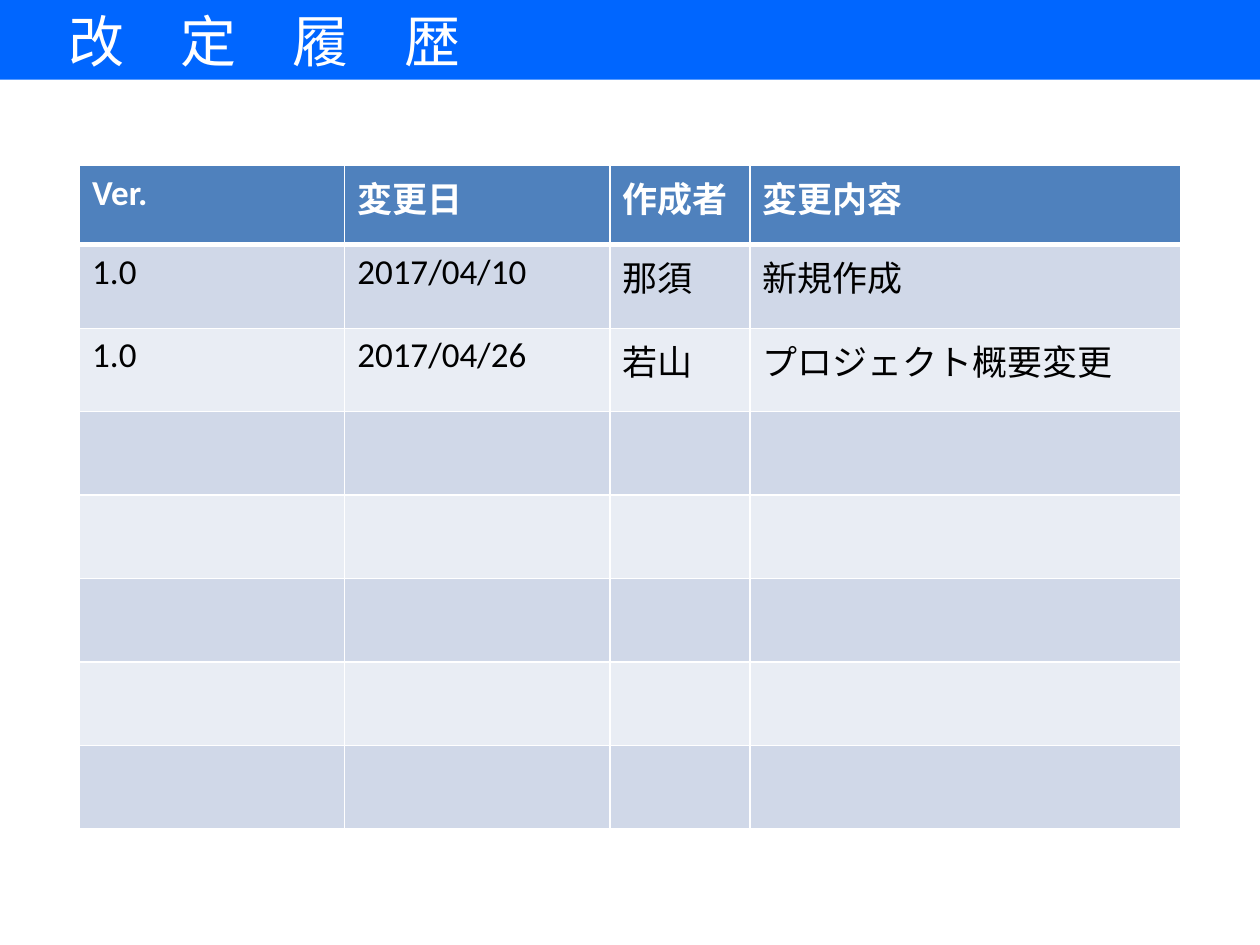
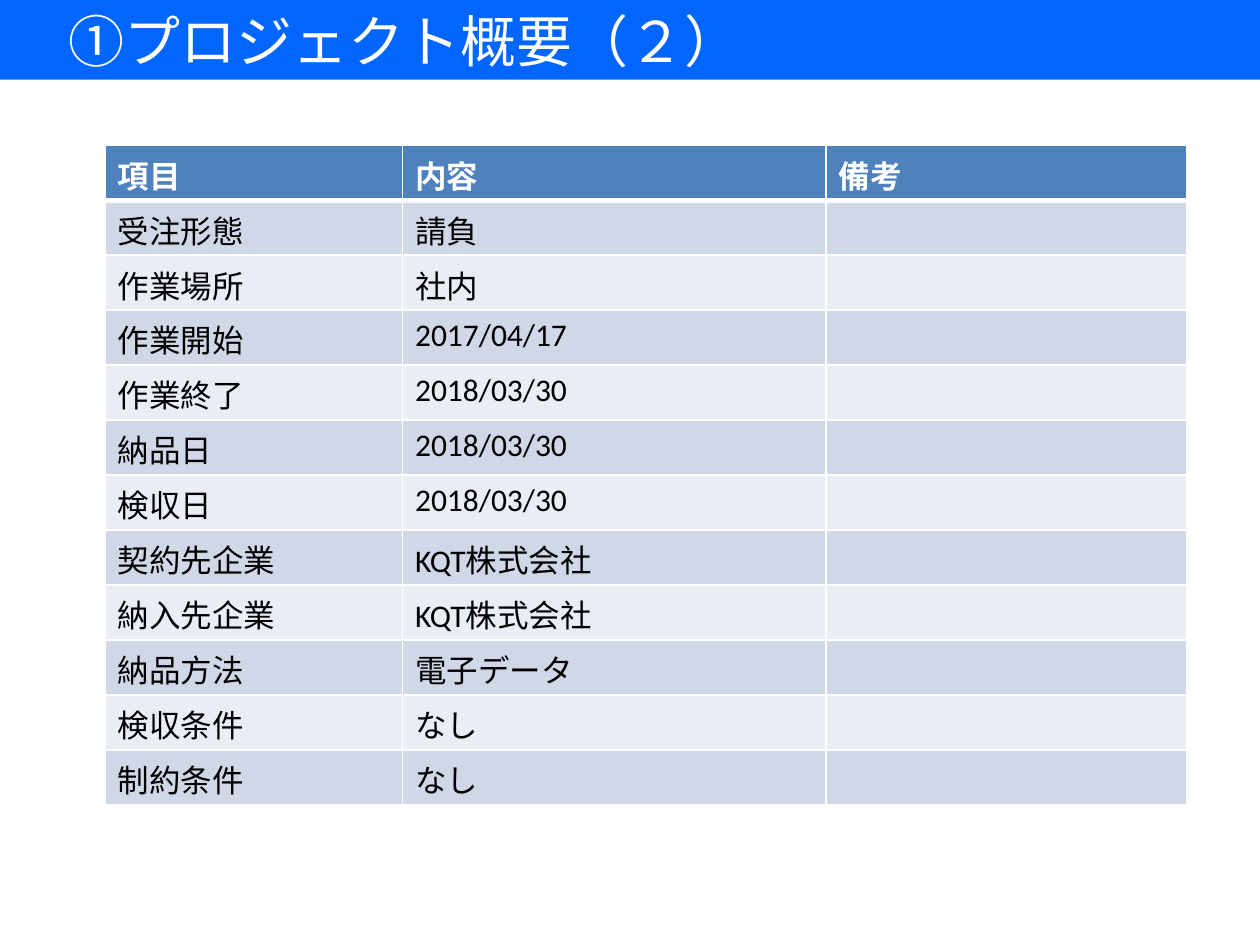
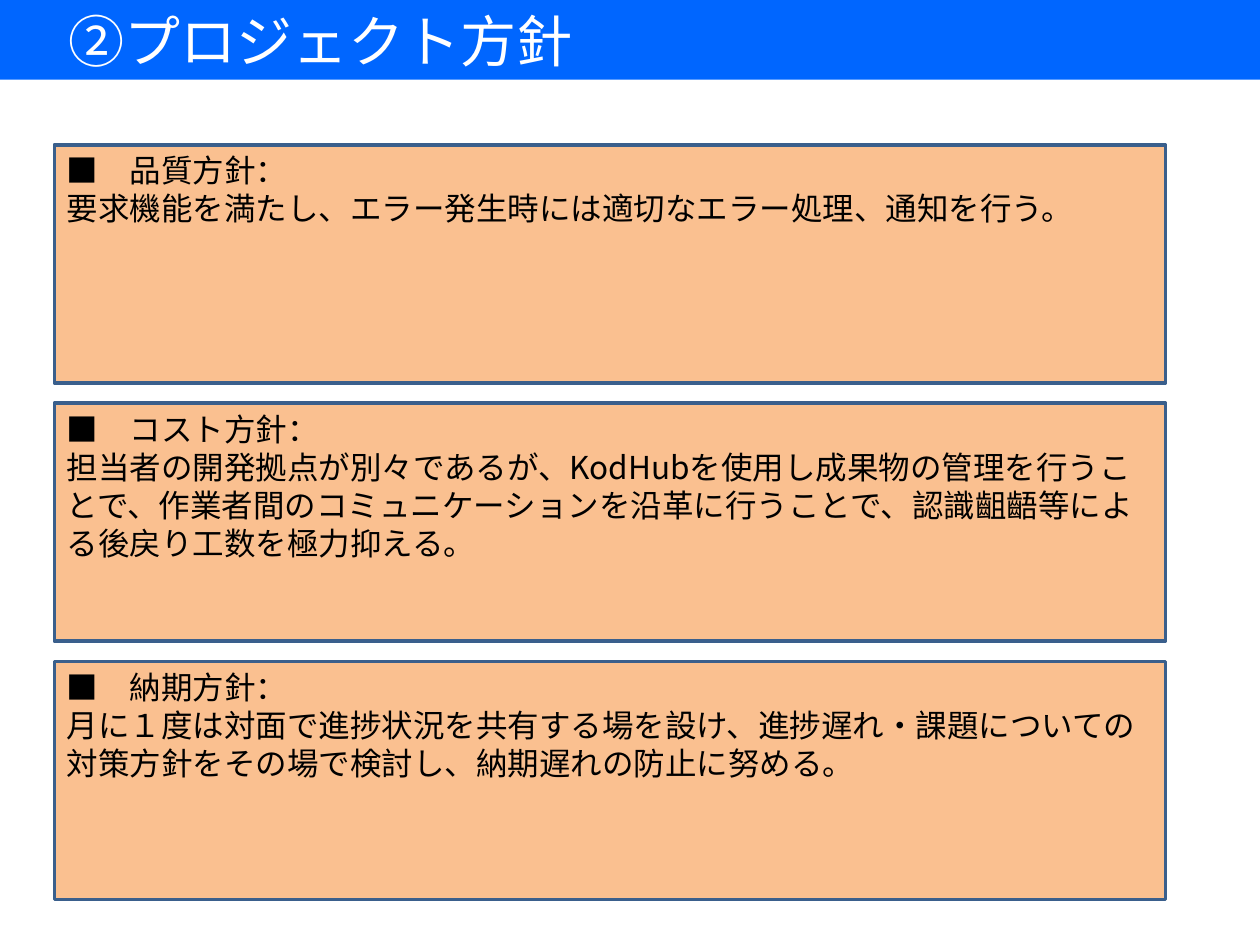
from dataclasses import dataclass

from lxml import etree
from pptx import Presentation
from pptx.dml.color import RGBColor
from pptx.enum.shapes import MSO_SHAPE
from pptx.enum.text import MSO_ANCHOR, PP_ALIGN
from pptx.oxml.ns import qn
from pptx.util import Pt

RECTANGLE = MSO_SHAPE.RECTANGLE
LEFT = PP_ALIGN.LEFT
TOP = MSO_ANCHOR.TOP
MIDDLE = MSO_ANCHOR.MIDDLE


@dataclass(frozen=True)
class Theme:
    band: str = "0066FF"
    header: str = "4F81BD"
    stripes: tuple = ("D0D8E8", "E9EDF4")
    panel: str = "FAC090"
    panel_line: str = "3A5F8C"
    white: str = "FFFFFF"
    black: str = "000000"
    title_size: int = 32
    history_size: int = 20
    body_size: int = 18
    title_font: str = "Cambria"
    table_font: str = "Calibri"
    asian_font: str = "Noto Sans CJK JP"


THEME = Theme()
PAGE_WIDTH, PAGE_HEIGHT = 720, 540
BAND_HEIGHT = 45.5

HISTORY = {
    "title": " 改 定 履 歴".replace(" ", "　"),
    "position": (45.5, 94.5),
    "columns": (151.5, 151.5, 80, 246),
    "header_height": 45.4,
    "row_height": 47.7,
    "size": THEME.history_size,
    "rows": [
        ("Ver.", "変更日", "作成者", "変更内容"),
        ("1.0", "2017/04/10", "那須", "新規作成"),
        ("1.0", "2017/04/26", "若山", "プロジェクト概要変更"),
    ] + [("",) * 4] * 5,
}

OVERVIEW = {
    "title": "　①プロジェクト概要（２）",
    "position": (60, 83),
    "columns": (170, 242, 206),
    "header_height": 31.43,
    "row_height": 31.43,
    "size": THEME.body_size,
    "rows": [
        ("項目", "内容", "備考"),
        ("受注形態", "請負", ""),
        ("作業場所", "社内", ""),
        ("作業開始", "2017/04/17", ""),
        ("作業終了", "2018/03/30", ""),
        ("納品日", "2018/03/30", ""),
        ("検収日", "2018/03/30", ""),
        ("契約先企業", "KQT株式会社", ""),
        ("納入先企業", "KQT株式会社", ""),
        ("納品方法", "電子データ", ""),
        ("検収条件", "なし", ""),
        ("制約条件", "なし", ""),
    ],
}

POLICY_TITLE = "　②プロジェクト方針"
POLICIES = [
    ("品質方針", "要求機能を満たし、エラー発生時には適切なエラー処理、通知を行う。"),
    ("コスト方針", "担当者の開発拠点が別々であるが、KodHubを使用し成果物の管理を行うことで、"
     "作業者間のコミュニケーションを沿革に行うことで、認識齟齬等による後戻り工数を極力抑える。"),
    ("納期方針", "月に１度は対面で進捗状況を共有する場を設け、進捗遅れ・課題についての"
     "対策方針をその場で検討し、納期遅れの防止に努める。"),
]
PANEL_LEFT, PANEL_TOP = 31, 82.8
PANEL_WIDTH, PANEL_HEIGHT = 635, 136
PANEL_PITCH = 147.6
PANEL_LEADING = 21.7


def color(value):
    return RGBColor.from_string(value)


def write(frame, text, size, font, ink, bold=False, leading=None):
    frame.word_wrap = True
    for index, line in enumerate(text.split("\n")):
        para = frame.add_paragraph() if index else frame.paragraphs[0]
        para.alignment = LEFT
        if leading:
            para.line_spacing = Pt(leading)
        span = para.add_run()
        span.text = line
        span.font.size = Pt(size)
        span.font.bold = bold
        span.font.color.rgb = color(ink)
        span.font.name = font
        asian = etree.SubElement(span.font._element, qn("a:ea"))
        asian.set("typeface", THEME.asian_font)


def add_box(page, left, top, width, height, fill, line=None):
    box = page.shapes.add_shape(RECTANGLE, Pt(left), Pt(top), Pt(width), Pt(height))
    box.shadow.inherit = False
    box.fill.solid()
    box.fill.fore_color.rgb = color(fill)
    if line:
        box.line.color.rgb = color(line)
        box.line.width = Pt(2)
    else:
        box.line.fill.background()
    return box


def add_page(deck, title, font):
    page = deck.slides.add_slide(deck.slide_layouts[6])
    band = add_box(page, 0, 0, PAGE_WIDTH, BAND_HEIGHT, THEME.band)
    band.text_frame.vertical_anchor = MIDDLE
    write(band.text_frame, title, size=THEME.title_size, font=font, ink=THEME.white)
    return page


def set_borders(cell, bottom_width):
    properties = cell._tc.get_or_add_tcPr()
    widths = {"a:lnL": 1, "a:lnR": 1, "a:lnT": 1, "a:lnB": bottom_width}
    for index, (side, width) in enumerate(widths.items()):
        border = etree.Element(qn(side), w=str(Pt(width)))
        fill = etree.SubElement(border, qn("a:solidFill"))
        etree.SubElement(fill, qn("a:srgbClr"), val=THEME.white)
        properties.insert(index, border)


def add_table_page(deck, content):
    page = add_page(deck, content["title"], THEME.title_font)
    rows, columns = content["rows"], content["columns"]
    heights = [content["header_height"]] + [content["row_height"]] * (len(rows) - 1)
    left, top = content["position"]
    table = page.shapes.add_table(
        len(rows), len(columns), Pt(left), Pt(top), Pt(sum(columns)), Pt(sum(heights))
    ).table
    for column, width in zip(table.columns, columns):
        column.width = Pt(width)
    for row_index, (values, height) in enumerate(zip(rows, heights)):
        header = row_index == 0
        table.rows[row_index].height = Pt(height)
        for column_index, value in enumerate(values):
            cell = table.cell(row_index, column_index)
            cell.margin_bottom = Pt(1.5)
            cell.fill.solid()
            fill = THEME.header if header else THEME.stripes[(row_index - 1) % 2]
            cell.fill.fore_color.rgb = color(fill)
            set_borders(cell, 3 if header else 1)
            if value:
                write(cell.text_frame, value, size=content["size"], font=THEME.table_font,
                      ink=THEME.white if header else THEME.black, bold=header)


def add_policy_page(deck):
    page = add_page(deck, POLICY_TITLE, THEME.asian_font)
    for index, (name, body) in enumerate(POLICIES):
        panel = add_box(page, PANEL_LEFT, PANEL_TOP + index * PANEL_PITCH,
                        PANEL_WIDTH, PANEL_HEIGHT, THEME.panel, THEME.panel_line)
        panel.text_frame.vertical_anchor = TOP
        write(panel.text_frame, f"■　{name}：\n{body}", size=THEME.body_size,
              font=THEME.asian_font, ink=THEME.black, leading=PANEL_LEADING)


def main():
    deck = Presentation()
    deck.slide_width, deck.slide_height = Pt(PAGE_WIDTH), Pt(PAGE_HEIGHT)
    add_table_page(deck, HISTORY)
    add_table_page(deck, OVERVIEW)
    add_policy_page(deck)
    deck.save("out.pptx")


if __name__ == "__main__":
    main()
